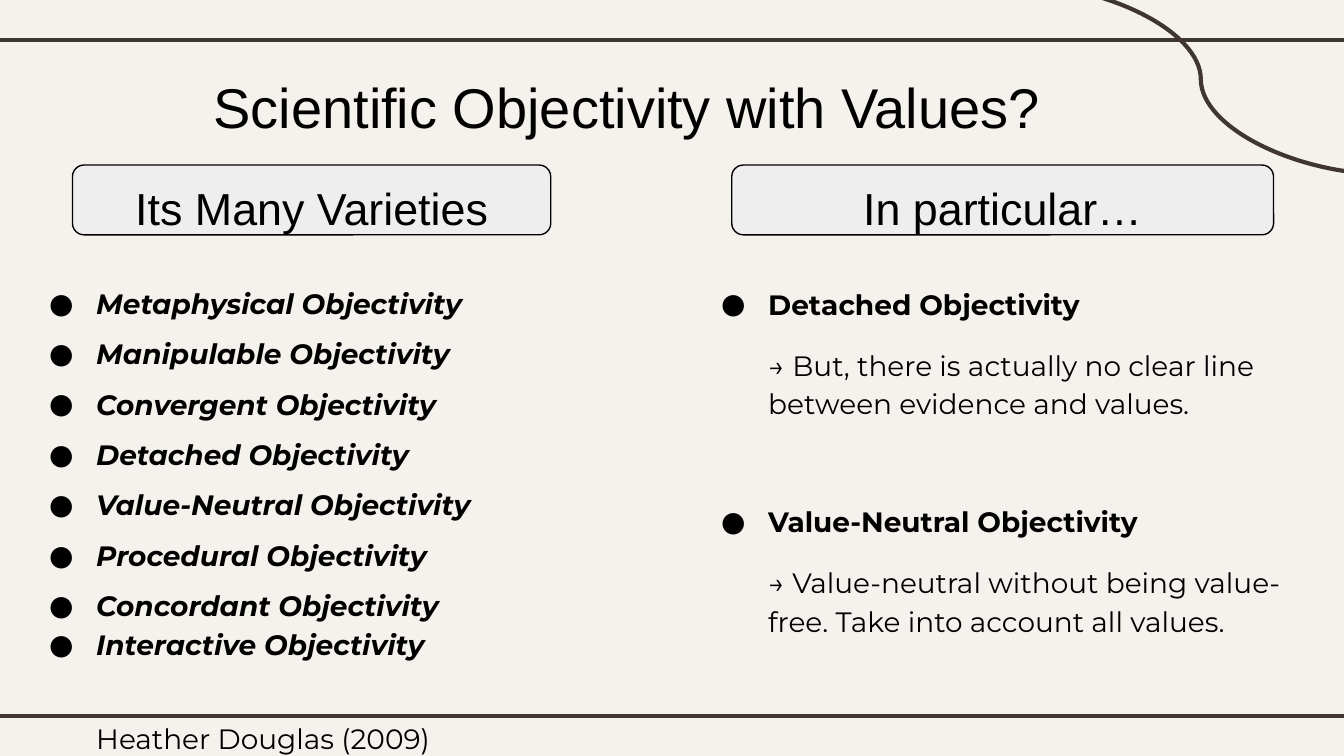
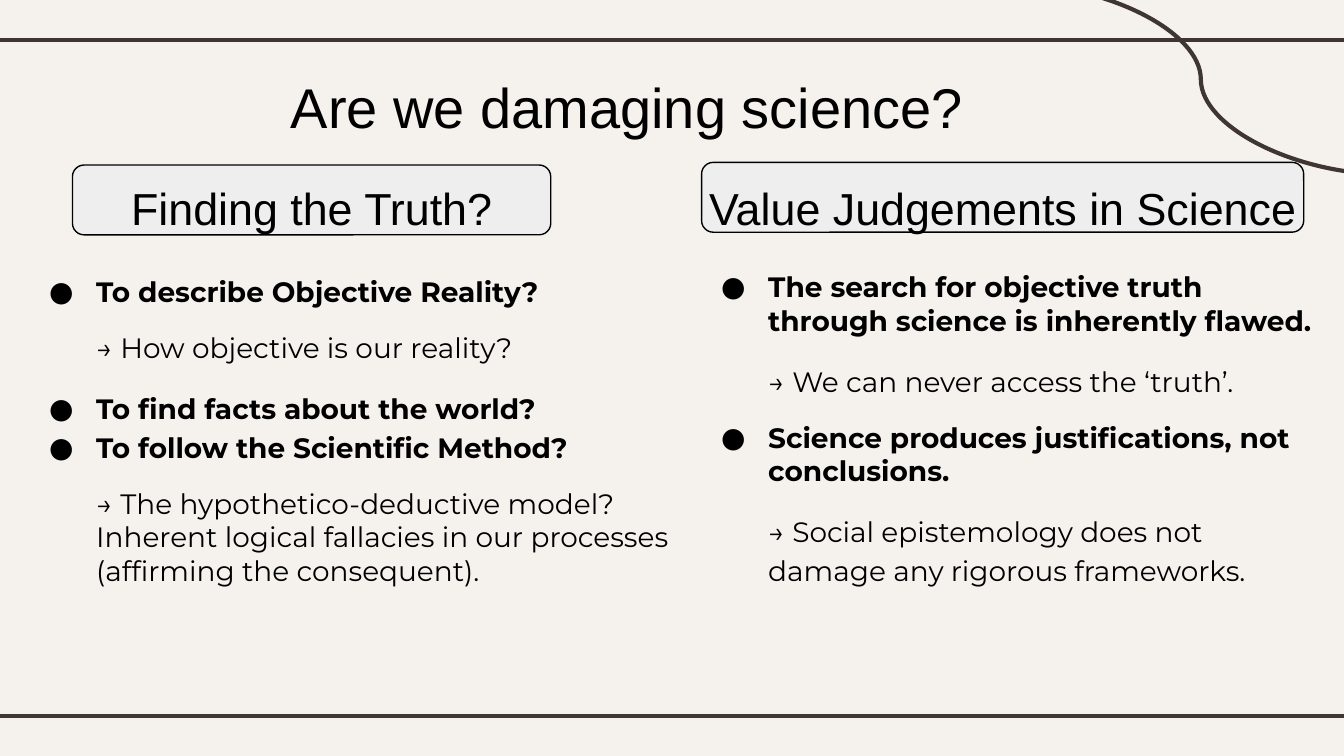
from lxml.etree import SubElement
from pptx import Presentation
from pptx.dml.color import RGBColor
from pptx.enum.shapes import MSO_CONNECTOR, MSO_SHAPE
from pptx.enum.text import MSO_ANCHOR, PP_ALIGN
from pptx.oxml.ns import qn
from pptx.util import Cm, Pt

PAPER, INK, PILL, BLACK = "F5F2EE", "3F3533", "EEEEEE", "000000"
TITLE = {"name": "Arial", "size": Pt(30)}
HEADING = {"name": "Arial", "size": Pt(24)}
BODY = {"name": "Montserrat", "size": Pt(15)}
TITLE_BOX = (0.51, 1.02, 22.68, 1.6)
LEFT_HEADING = (1.37, 3.07, 9.04, 0.99)
RIGHT_HEADING = (12.5, 3.07, 12.9, 0.99)
LEFT_BODY = (0.3, 4.85, 12.9, 6.6)
RIGHT_BODY = (13, 4.85, 12.2, 6.6)
INSET = 0.25


def color(value):
    """Turn a hex string into a colour."""
    return RGBColor.from_string(value)


def apply(target, values):
    """Set each attribute of the target from a dict."""
    for name, value in values.items():
        setattr(target, name, value)


def add_line(page, kind, start, end):
    """Draw one ink line between two points."""
    line = page.shapes.add_connector(kind, *(Cm(value) for value in start + end))
    line.line.color.rgb = color(INK)
    line.line.width = Pt(2.25)
    SubElement(line._element.spPr, qn("a:effectLst"))


def add_text_box(page, box, top_inset=INSET):
    """Place an empty wrapping text frame in the box."""
    frame = page.shapes.add_textbox(*map(Cm, box)).text_frame
    apply(frame, {
        "word_wrap": True, "vertical_anchor": MSO_ANCHOR.TOP,
        "margin_left": Cm(INSET), "margin_right": Cm(INSET),
        "margin_top": Cm(top_inset), "margin_bottom": Cm(INSET),
    })
    return frame


def add_span(para, text, style):
    """Add one run of black text in the given style."""
    span = para.add_run()
    span.text = text
    apply(span.font, style)
    span.font.color.rgb = color(BLACK)


def add_centered(page, box, text, style):
    """Write one centred line in the box."""
    para = add_text_box(page, box, 0.35).paragraphs[0]
    para.alignment = PP_ALIGN.CENTER
    add_span(para, text, style)


def indent(para, bullet):
    """Indent a paragraph and hang a round bullet if asked."""
    properties = para._p.get_or_add_pPr()
    properties.set("marL", str(Cm(1.27)))
    properties.set("indent", str(Cm(-0.89) if bullet else 0))
    if bullet:
        tint = SubElement(properties, qn("a:buClr"))
        SubElement(tint, qn("a:srgbClr"), val=BLACK)
        SubElement(properties, qn("a:buFont"), typeface=BODY["name"])
        SubElement(properties, qn("a:buChar"), char="●")
    else:
        SubElement(properties, qn("a:buNone"))


def point(text, spacing=1.0, before=0, italic=False):
    """Describe a bold bulleted paragraph."""
    return text, True, spacing, before, italic


def remark(text, spacing=1.15, before=12):
    """Describe a plain indented paragraph."""
    return text, False, spacing, before, False


def add_body(page, box, items):
    """Fill the box with points and remarks."""
    frame = add_text_box(page, box)
    for index, (text, bullet, spacing, before, italic) in enumerate(items):
        para = frame.add_paragraph() if index else frame.paragraphs[0]
        indent(para, bullet)
        apply(para, {"line_spacing": spacing, "space_before": Pt(before),
                     "space_after": Pt(0)})
        add_span(para, text, BODY | {"bold": bullet, "italic": italic})


def add_heading(page, box, text, pill_width, pill_drop=0.05):
    """Centre a rounded pill on the box and write the heading over it."""
    left, top, width, _ = box
    pill = page.shapes.add_shape(
        MSO_SHAPE.ROUNDED_RECTANGLE, Cm(left + (width - pill_width) / 2),
        Cm(top + pill_drop), Cm(pill_width), Cm(1.32))
    pill.shadow.inherit = False
    pill.fill.solid()
    pill.fill.fore_color.rgb = color(PILL)
    pill.line.color.rgb = color(BLACK)
    pill.line.width = Pt(0.75)
    add_centered(page, box, text, HEADING)


def add_page(deck, title):
    """Add a page with the shared background, lines and title."""
    page = deck.slides.add_slide(deck.slide_layouts[6])
    page.background.fill.solid()
    page.background.fill.fore_color.rgb = color(PAPER)
    for height in (0.76, 13.54):
        add_line(page, MSO_CONNECTOR.STRAIGHT, (-0.2, height), (25.6, height))
    add_line(page, MSO_CONNECTOR.CURVE, (19.13, -0.3), (26.26, 3.3))
    add_centered(page, TITLE_BOX, title, TITLE)
    return page


def add_varieties_page(deck):
    """Build the page on the varieties of objectivity."""
    page = add_page(deck, "Scientific Objectivity with Values?")
    add_heading(page, LEFT_HEADING, "Its Many Varieties", 9.04)
    add_heading(page, RIGHT_HEADING, "In particular…", 10.24)
    varieties = ["Metaphysical", "Manipulable", "Convergent", "Detached",
                 "Value-Neutral", "Procedural", "Concordant"]
    add_body(page, LEFT_BODY, [
        *(point(f"{name} Objectivity", 1.5, italic=True) for name in varieties),
        point("Interactive Objectivity", 1.15, italic=True),
        remark("Heather Douglas (2009)", before=30),
    ])
    left, top, width, height = RIGHT_BODY
    add_body(page, (left, top + 0.33, width, height), [
        point("Detached Objectivity"),
        remark("→ But, there is actually no clear line between evidence and values."),
        point("Value-Neutral Objectivity", before=45),
        remark("→ Value-neutral without being value-free. "
               "Take into account all values."),
    ])


def add_damage_page(deck):
    """Build the page on truth and value judgements."""
    page = add_page(deck, "Are we damaging science?")
    add_heading(page, LEFT_HEADING, "Finding the Truth?", 9.04)
    add_heading(page, RIGHT_HEADING, "Value Judgements in Science", 11.38, 0)
    add_body(page, LEFT_BODY, [
        point("To describe Objective Reality?", 1.15),
        remark("→ How objective is our reality?", 1.0),
        point("To find facts about the world?", 1.15, 12),
        point("To follow the Scientific Method?", 1.15),
        remark("→ The hypothetico-deductive model? Inherent logical fallacies "
               "in our processes (affirming the consequent).", 1.0),
    ])
    add_body(page, RIGHT_BODY, [
        point("The search for objective truth through science is "
              "inherently flawed."),
        remark("→ We can never access the ‘truth’."),
        point("Science produces justifications, not conclusions.", before=12),
        remark("→ Social epistemology does not damage any rigorous frameworks."),
    ])


def main():
    """Build and save the deck."""
    deck = Presentation()
    deck.slide_width, deck.slide_height = Cm(25.4), Cm(14.29)
    add_varieties_page(deck)
    add_damage_page(deck)
    deck.save("out.pptx")


if __name__ == "__main__":
    main()
